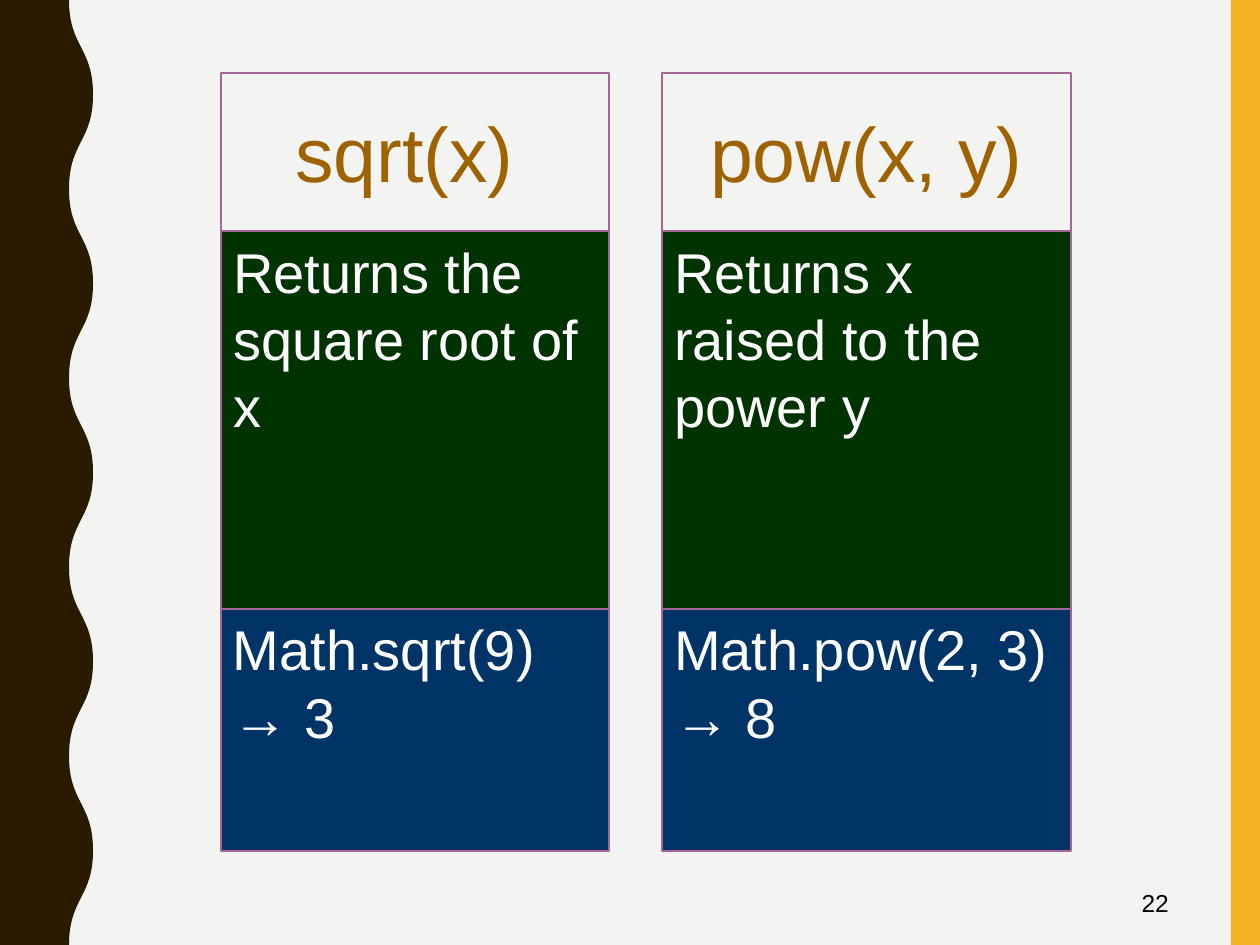
"""Build a slide that sets two Math methods side by side."""
from dataclasses import dataclass

from lxml import etree
from pptx import Presentation, util as u
from pptx.dml.color import RGBColor
from pptx.enum import shapes, text
from pptx.oxml.ns import qn

SCALE = 914400 / 126
WIDTH, HEIGHT = 1260, 945

PAPER = RGBColor(0xF3, 0xF3, 0xF2)
AMBER = RGBColor(0xF8, 0xB3, 0x23)
BROWN = RGBColor(0x2A, 0x1A, 0x00)
OCHRE = RGBColor(0x9F, 0x62, 0x00)
MAUVE = RGBColor(0xA4, 0x66, 0x94)
GREEN = RGBColor(0x00, 0x33, 0x00)
NAVY = RGBColor(0x00, 0x33, 0x66)
WHITE = RGBColor(0xFF, 0xFF, 0xFF)
BLACK = RGBColor(0x00, 0x00, 0x00)


@dataclass(frozen=True)
class Style:
    size: int
    color: RGBColor
    frame: dict
    paragraph: dict
    fill: RGBColor | None = None
    border: float | None = None


@dataclass(frozen=True)
class Method:
    left: int
    width: int
    heading_idx: int
    meaning_idx: int
    heading: str
    meaning: str
    example: str


def px(length: float) -> u.Emu:
    """Turn pixels into EMU."""
    return u.Emu(round(length * SCALE))


INSETS = {"margin_left": px(12), "margin_right": px(12), "margin_top": px(6),
          "margin_bottom": px(6), "word_wrap": True, "auto_size": text.MSO_AUTO_SIZE.NONE}
MIDDLE = INSETS | {"vertical_anchor": text.MSO_ANCHOR.MIDDLE}
TOP = INSETS | {"vertical_anchor": text.MSO_ANCHOR.TOP}
PROSE = {"alignment": text.PP_ALIGN.LEFT, "line_spacing": 1.0, "space_before": u.Pt(0)}
CENTRED = {"alignment": text.PP_ALIGN.CENTER, "space_before": u.Pt(0)}
FLUSH_RIGHT = {"alignment": text.PP_ALIGN.RIGHT}

HEADING = Style(44, OCHRE, MIDDLE, CENTRED, border=0.75)
MEANING = Style(32, WHITE, TOP, PROSE, GREEN, 1)
EXAMPLE = Style(32, WHITE, TOP, PROSE, NAVY, 1)
NUMBER = Style(14, BLACK, MIDDLE, FLUSH_RIGHT)

METHODS = (
    Method(221, 388, 0, 2, "sqrt(x) ", "Returns the square root of x", "Math.sqrt(9) → 3"),
    Method(662, 409, 3, 4, "pow(x, y)", "Returns x raised to the power y", "Math.pow(2, 3) → 8"),
)
ROW_EDGES = (73, 231, 609, 851)


def apply(target, values: dict) -> None:
    """Set each named attribute on the target."""
    for name, value in values.items():
        setattr(target, name, value)


def write(shape, words: str, style: Style) -> None:
    """Fill, border and letter a shape in one style."""
    if style.fill is None:
        shape.fill.background()
    else:
        shape.fill.solid()
        shape.fill.fore_color.rgb = style.fill
    if style.border:
        shape.line.color.rgb = MAUVE
        shape.line.width = u.Pt(style.border)
    apply(shape.text_frame, style.frame)
    paragraph = shape.text_frame.paragraphs[0]
    properties = paragraph._p.get_or_add_pPr()
    for name in ("marL", "indent"):
        properties.set(name, "0")
    etree.SubElement(properties, qn("a:buNone"))
    apply(paragraph, style.paragraph)
    run = paragraph.add_run()
    run.text = words
    apply(run.font, {"name": "Arial", "size": u.Pt(style.size), "bold": False})
    run.font.color.rgb = style.color


def place(shape, left: int, top: int, width: int, height: int) -> None:
    """Move and size a shape in pixels."""
    apply(shape, {"left": px(left), "top": px(top), "width": px(width), "height": px(height)})


def paint_behind(slide, shape, color: RGBColor) -> None:
    """Give a decoration a flat colour and send it to the back."""
    shape.shadow.inherit = False
    shape.fill.solid()
    shape.fill.fore_color.rgb = color
    shape.line.fill.background()
    slide.shapes._spTree.insert(2, shape._element)


def bend(segment, start: tuple[int, int], end: tuple[int, int]) -> None:
    """Turn a straight segment into an S-curve with upright ends."""
    middle = (start[1] + end[1]) // 2
    segment.tag = qn("a:cubicBezTo")
    for point in list(segment):
        segment.remove(point)
    for x, y in ((start[0], middle), (end[0], middle), end):
        etree.SubElement(segment, qn("a:pt"), x=str(x), y=str(y))


def draw_wave(slide, trough: int = 69, crest: int = 93, swings: int = 10) -> None:
    """Draw the dark left band with its wavy right edge."""
    edge = [(px(crest if swing % 2 else trough), px(HEIGHT * swing / swings))
            for swing in range(swings + 1)]
    builder = slide.shapes.build_freeform(*edge[0], scale=1.0)
    builder.add_line_segments([*edge[1:], (0, px(HEIGHT)), (0, 0)], close=True)
    wave = builder.convert_to_shape()
    segments = list(wave._element.iter(qn("a:lnTo")))
    for segment, start, end in zip(segments, edge, edge[1:]):
        bend(segment, start, end)
    paint_behind(slide, wave, BROWN)


def draw_method(slide, method: Method) -> None:
    """Stack a method's heading, meaning and example."""
    holders = {holder.placeholder_format.idx: holder for holder in slide.placeholders}
    example = slide.shapes.add_shape(shapes.MSO_SHAPE.RECTANGLE, 0, 0, 0, 0)
    example.shadow.inherit = False
    rows = (
        (holders[method.heading_idx], method.heading, HEADING),
        (holders[method.meaning_idx], method.meaning, MEANING),
        (example, method.example, EXAMPLE),
    )
    for (shape, words, style), top, bottom in zip(rows, ROW_EDGES, ROW_EDGES[1:]):
        place(shape, method.left, top, method.width, bottom - top)
        write(shape, words, style)


def main() -> None:
    """Build and save the slide."""
    deck = Presentation()
    apply(deck, {"slide_width": px(WIDTH), "slide_height": px(HEIGHT)})
    slide = deck.slides.add_slide(deck.slide_layouts.get_by_name("Comparison"))
    slide.background.fill.solid()
    slide.background.fill.fore_color.rgb = PAPER

    draw_wave(slide)
    band = slide.shapes.add_shape(
        shapes.MSO_SHAPE.RECTANGLE, px(1231), 0, px(WIDTH - 1231), px(HEIGHT))
    paint_behind(slide, band, AMBER)
    for method in METHODS:
        draw_method(slide, method)

    used = {idx for method in METHODS for idx in (method.heading_idx, method.meaning_idx)}
    for holder in list(slide.placeholders):
        if holder.placeholder_format.idx not in used:
            holder.element.getparent().remove(holder.element)

    number = slide.shapes.add_textbox(px(890), px(879), px(291), px(48))
    write(number, "22", NUMBER)
    deck.save("out.pptx")


if __name__ == "__main__":
    main()
